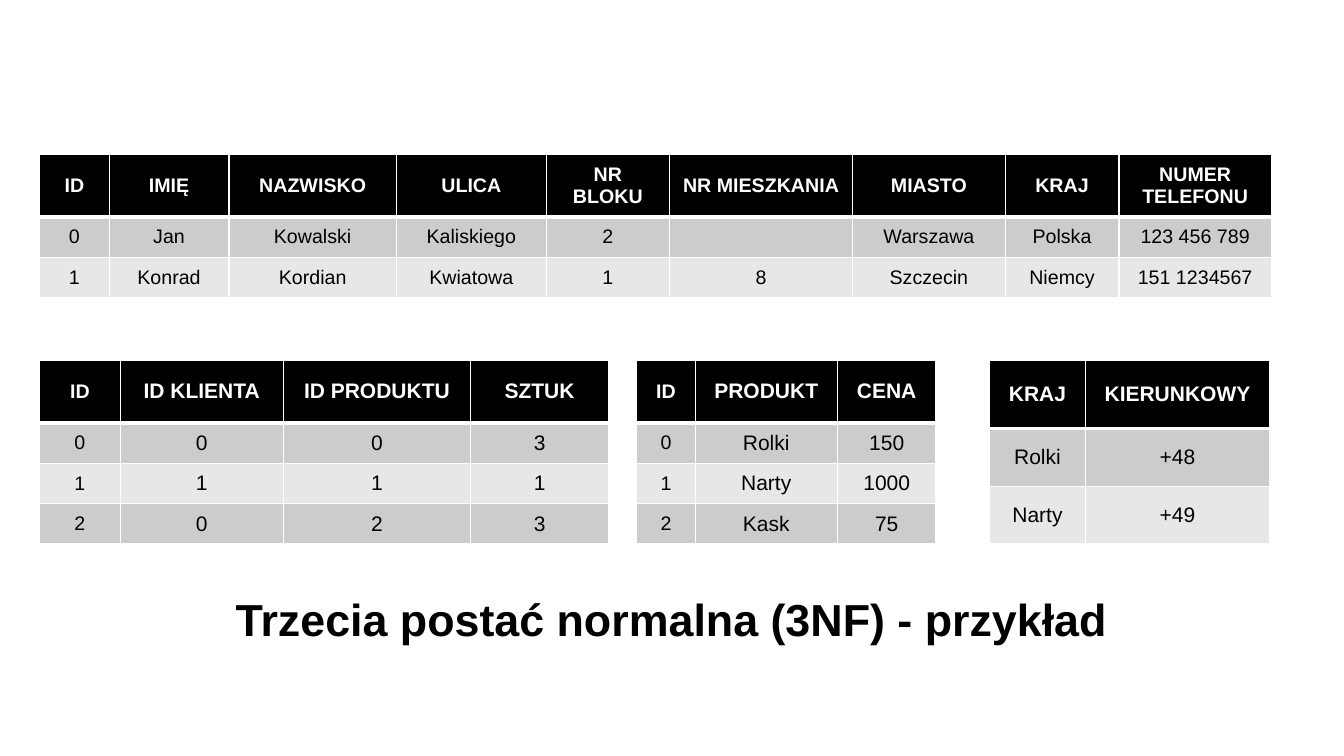
from dataclasses import dataclass

from lxml import etree
from pptx import Presentation
from pptx.dml.color import RGBColor
from pptx.enum.text import MSO_ANCHOR, MSO_AUTO_SIZE, PP_ALIGN
from pptx.oxml.ns import qn
from pptx.util import Cm, Pt

CENTER = PP_ALIGN.CENTER
MIDDLE = MSO_ANCHOR.MIDDLE
BOTTOM = MSO_ANCHOR.BOTTOM
NO_AUTOFIT = MSO_AUTO_SIZE.NONE
TITLE_ONLY = 5

# Cell margins in cm: horizontal, vertical
MEDIUM = (0.33, 0.16)
WIDE = (0.36, 0.18)
NARROW = (0.18, 0.09)
DEFAULT = (0.24, 0.13)


@dataclass(frozen=True)
class Theme:
    font: str = "Arial"
    dark: str = "000000"
    light: str = "FFFFFF"
    bands: tuple = ("CCCCCC", "E7E7E7")
    title_size: int = 32
    small_size: int = 14
    large_size: int = 15
    thin_border: int = 1
    thick_border: int = 3


@dataclass(frozen=True)
class ColumnStyle:
    width: float
    size: int
    header_margins: tuple
    body_margins: tuple


class SlideBuilder:
    def __init__(self, slide, theme):
        self.slide = slide
        self.theme = theme

    def small_columns(self, *widths, margins=MEDIUM):
        return [ColumnStyle(width, self.theme.small_size, margins, margins) for width in widths]

    def large_columns(self, *widths):
        return [ColumnStyle(width, self.theme.large_size, WIDE, NARROW) for width in widths]

    def format_text(self, paragraph, size, color, bold):
        paragraph.alignment = CENTER
        for run in paragraph.runs:
            run.font.name = self.theme.font
            run.font.size = Pt(size)
            run.font.bold = bold
            run.font.color.rgb = RGBColor.from_string(color)

    def title(self, text, left, top, width, height):
        shape = self.slide.shapes.title
        shape.left, shape.top, shape.width, shape.height = map(Cm, (left, top, width, height))
        frame = shape.text_frame
        frame.text = text
        frame.auto_size = NO_AUTOFIT
        frame.vertical_anchor = BOTTOM
        frame.paragraphs[0].line_spacing = 0.9
        self.format_text(frame.paragraphs[0], self.theme.title_size, self.theme.dark, True)

    def table(self, left, top, columns, heights, rows):
        size = Cm(sum(column.width for column in columns)), Cm(sum(heights))
        shape = self.slide.shapes.add_table(len(rows), len(columns), Cm(left), Cm(top), *size)
        table = shape.table
        for table_column, column in zip(table.columns, columns):
            table_column.width = Cm(column.width)
        for row_index, (height, values) in enumerate(zip(heights, rows)):
            table.rows[row_index].height = Cm(height)
            for column_index, (column, value) in enumerate(zip(columns, values)):
                self.cell(table.cell(row_index, column_index), row_index, column, value)

    def cell(self, cell, row_index, column, value):
        theme = self.theme
        header = row_index == 0
        cell.fill.solid()
        fill = theme.dark if header else theme.bands[(row_index - 1) % 2]
        cell.fill.fore_color.rgb = RGBColor.from_string(fill)
        self.borders(cell, row_index)
        if not value:
            return
        horizontal, vertical = column.header_margins if header else column.body_margins
        cell.margin_left = cell.margin_right = Cm(horizontal)
        cell.margin_top = cell.margin_bottom = Cm(vertical)
        cell.vertical_anchor = MIDDLE
        cell.text_frame.text = value
        color = theme.light if header else theme.dark
        self.format_text(cell.text_frame.paragraphs[0], column.size, color, header)

    def borders(self, cell, row_index):
        """Draw light borders, thick between the header and the first body row."""
        thick_side = {0: "lnB", 1: "lnT"}.get(row_index)
        properties = cell._tc.get_or_add_tcPr()
        for position, side in enumerate(("lnL", "lnR", "lnT", "lnB")):
            width = self.theme.thick_border if side == thick_side else self.theme.thin_border
            line = etree.Element(qn(f"a:{side}"), w=str(Pt(width)))
            fill = etree.SubElement(line, qn("a:solidFill"))
            etree.SubElement(fill, qn("a:srgbClr"), val=self.theme.light)
            properties.insert(position, line)


def main():
    presentation = Presentation()
    presentation.slide_width = Cm(33.87)
    presentation.slide_height = Cm(19.05)
    slide = presentation.slides.add_slide(presentation.slide_layouts[TITLE_ONLY])
    builder = SlideBuilder(slide, Theme())

    builder.title("Trzecia postać normalna (3NF) - przykład", 4.8, 14.17, 24.26, 2.24)

    left_edge, lower_top, row_height = 1, 9.07, 1.02
    client_columns = builder.small_columns(1.75, 3.02, 4.22, 3.78, 3.1, 4.62, 3.84)
    client_columns += builder.small_columns(2.87, 3.84, margins=DEFAULT)
    builder.table(left_edge, 3.89, client_columns, [1.57] + [row_height] * 2, [
        ("ID", "IMIĘ", "NAZWISKO", "ULICA", "NR BLOKU", "NR MIESZKANIA", "MIASTO", "KRAJ",
         "NUMER TELEFONU"),
        ("0", "Jan", "Kowalski", "Kaliskiego", "2", "", "Warszawa", "Polska", "123 456 789"),
        ("1", "Konrad", "Kordian", "Kwiatowa", "1", "8", "Szczecin", "Niemcy", "151 1234567"),
    ])

    country_columns = builder.large_columns(2.41, 4.65)
    builder.table(24.94, lower_top, country_columns, [1.73] + [1.45] * 2, [
        ("KRAJ", "KIERUNKOWY"),
        ("Rolki", "+48"),
        ("Narty", "+49"),
    ])

    lower_heights = [1.58] + [row_height] * 3
    order_columns = builder.small_columns(2.03) + builder.large_columns(4.11, 4.72, 3.48)
    builder.table(left_edge, lower_top, order_columns, lower_heights, [
        ("ID", "ID KLIENTA", "ID PRODUKTU", "SZTUK"),
        ("0", "0", "0", "3"),
        ("1", "1", "1", "1"),
        ("2", "0", "2", "3"),
    ])

    product_columns = builder.small_columns(1.47) + builder.large_columns(3.58, 2.49)
    builder.table(16.05, lower_top, product_columns, lower_heights, [
        ("ID", "PRODUKT", "CENA"),
        ("0", "Rolki", "150"),
        ("1", "Narty", "1000"),
        ("2", "Kask", "75"),
    ])

    presentation.save("out.pptx")


if __name__ == "__main__":
    main()
